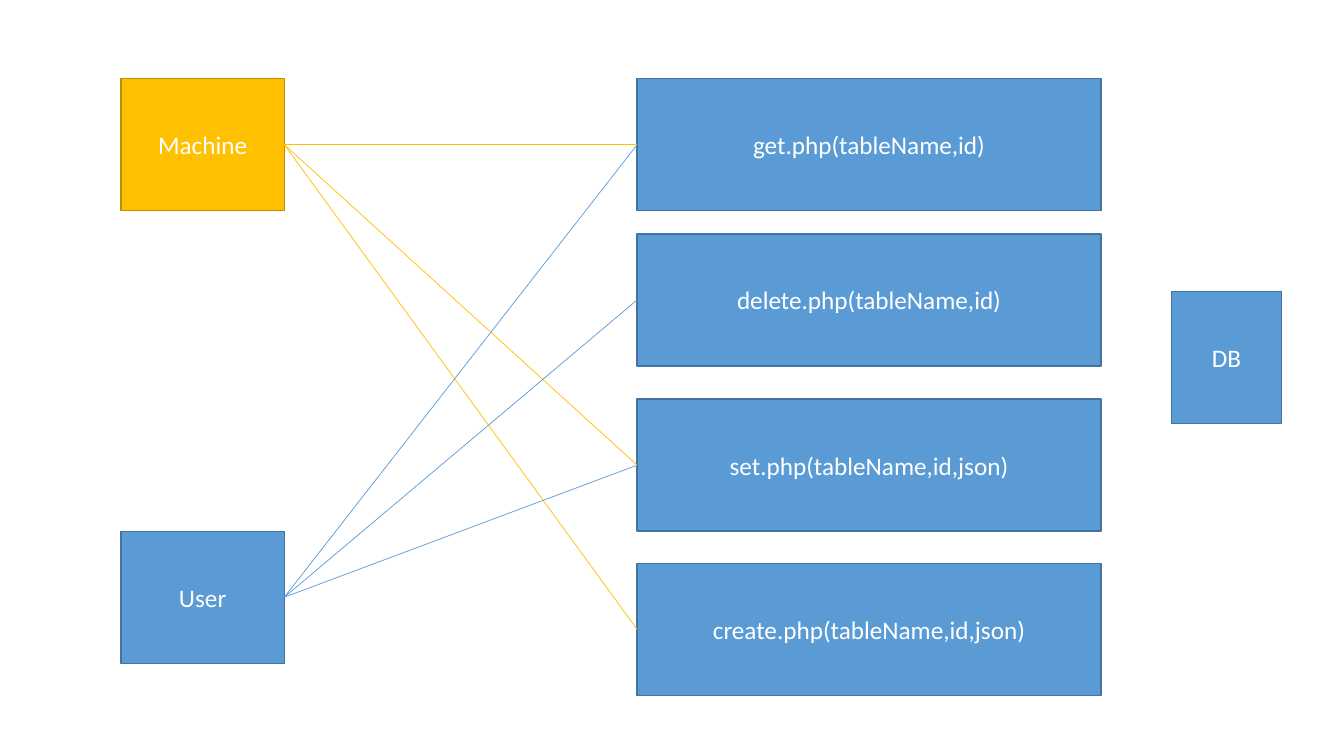
import pptx
import pptx.dml.color
import pptx.enum.shapes
import pptx.enum.text
import pptx.oxml.ns
import pptx.util
from lxml import etree
from pptx.util import Inches

RGBColor = pptx.dml.color.RGBColor
BLUE = RGBColor(0x5B, 0x9B, 0xD5)
DARK_BLUE = RGBColor(0x43, 0x73, 0x9E)
GOLD = RGBColor(0xFF, 0xC0, 0x00)
DARK_GOLD = RGBColor(0xBD, 0x8E, 0x00)
WHITE = RGBColor(0xFF, 0xFF, 0xFF)

BOX_HEIGHT = 1.31
CLIENT_LEFT, CLIENT_WIDTH = 1.2, 1.62
SCRIPT_LEFT, SCRIPT_WIDTH = 6.32, 4.6
RIGHT_SIDE, LEFT_SIDE = 3, 1

SCRIPTS = {
    "get": ("get.php(tableName,id)", 0.78),
    "delete": ("delete.php(tableName,id)", 2.32),
    "set": ("set.php(tableName,id,json)", 3.96),
    "create": ("create.php(tableName,id,json)", 5.59),
}
CLIENTS = [
    ("Machine", 0.78, GOLD, DARK_GOLD, ("get", "set", "create")),
    ("User", 5.27, BLUE, DARK_BLUE, ("get", "delete", "set")),
]


def add_box(slide, text, left, top, width, fill=BLUE, outline=DARK_BLUE):
    """Add a filled rectangle with a centred label."""
    box = slide.shapes.add_shape(
        pptx.enum.shapes.MSO_SHAPE.RECTANGLE,
        Inches(left), Inches(top), Inches(width), Inches(BOX_HEIGHT))
    box.shadow.inherit = False
    box.fill.solid()
    box.fill.fore_color.rgb = fill
    box.line.color.rgb = outline
    box.line.width = pptx.util.Pt(1)
    frame = box.text_frame
    frame.word_wrap = True
    frame.vertical_anchor = pptx.enum.text.MSO_ANCHOR.MIDDLE
    para = frame.paragraphs[0]
    para.text = text
    para.alignment = pptx.enum.text.PP_ALIGN.CENTER
    para.font.name = "Calibri"
    para.font.size = pptx.util.Pt(18)
    para.font.color.rgb = WHITE
    return box


def join_boxes(slide, client, script, color):
    """Join the right side of a client to the left side of a script."""
    link = slide.shapes.add_connector(
        pptx.enum.shapes.MSO_CONNECTOR.STRAIGHT, 0, 0, 0, 0)
    link.begin_connect(client, RIGHT_SIDE)
    link.end_connect(script, LEFT_SIDE)
    link.line.color.rgb = color
    link.line.width = pptx.util.Pt(0.5)
    properties = link.element.spPr
    etree.SubElement(properties, pptx.oxml.ns.qn("a:effectLst"))


def main():
    """Build the slide of clients, scripts and database."""
    deck = pptx.Presentation()
    deck.slide_width = Inches(13.33)
    deck.slide_height = Inches(7.5)
    slide = deck.slides.add_slide(deck.slide_layouts[6])

    add_box(slide, "DB", 11.62, 2.89, 1.09)
    scripts = {
        name: add_box(slide, text, SCRIPT_LEFT, top, SCRIPT_WIDTH)
        for name, (text, top) in SCRIPTS.items()
    }
    for text, top, fill, outline, targets in CLIENTS:
        client = add_box(slide, text, CLIENT_LEFT, top, CLIENT_WIDTH, fill, outline)
        for target in targets:
            join_boxes(slide, client, scripts[target], fill)

    deck.save("out.pptx")


if __name__ == "__main__":
    main()
